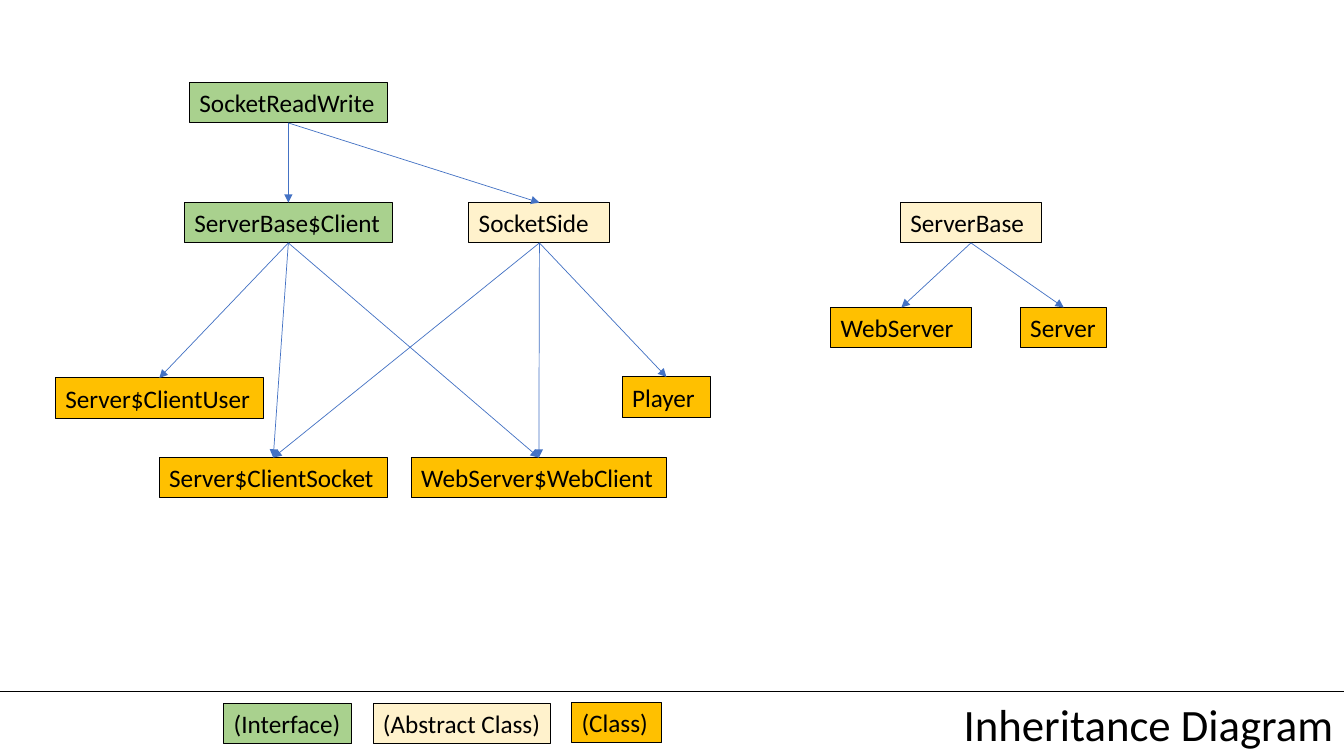
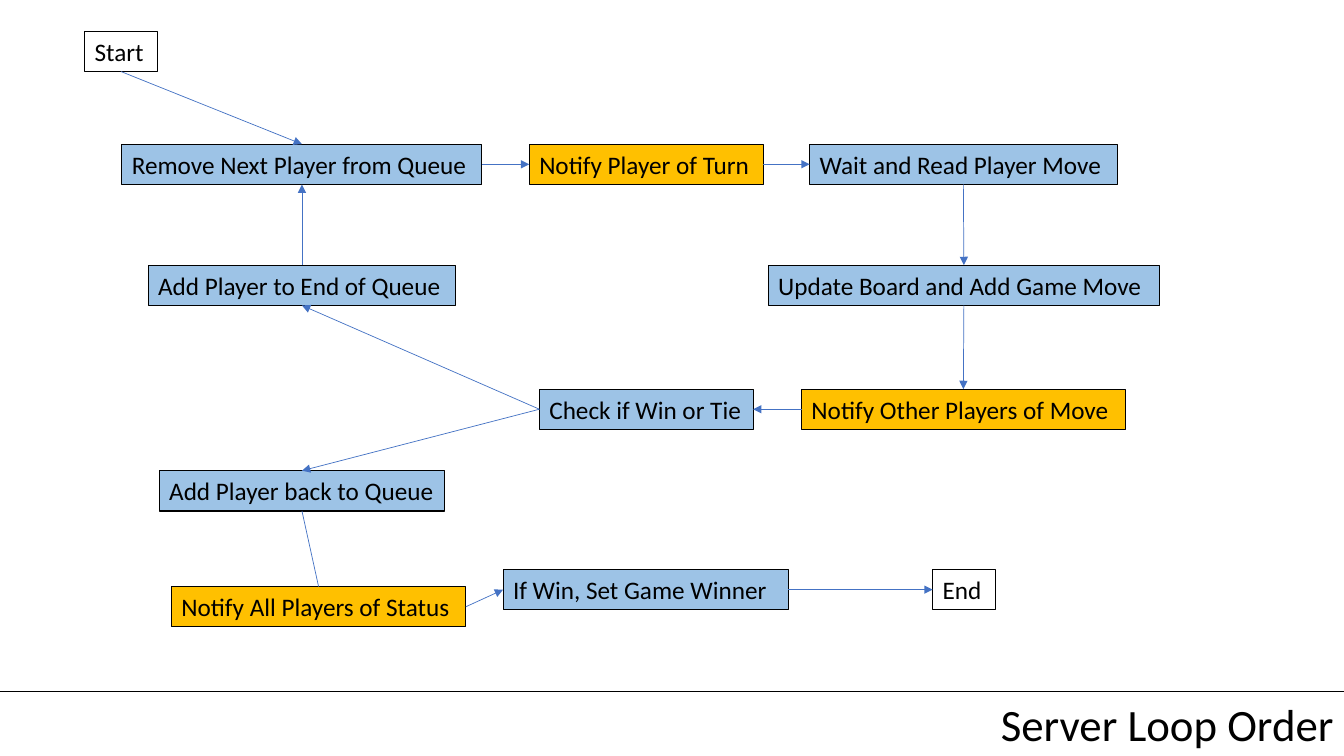
from dataclasses import dataclass

import lxml.etree
import pptx
import pptx.util
import pptx.dml.color
import pptx.enum.shapes
import pptx.enum.text
import pptx.oxml.ns
from pptx.util import Inches


@dataclass(frozen=True)
class Theme:
    """Colours, type sizes and measures shared by the slides."""
    font: str = "Calibri"
    ink: str = "000000"
    arrow: str = "4472C4"
    green: str = "A9D18E"
    cream: str = "FFF2CC"
    amber: str = "FFC000"
    blue: str = "9DC3E6"
    title_size: int = 32
    box_size: int = 18
    border: float = 0.75
    stroke: float = 0.5
    width: float = 13.33
    height: float = 7.5
    footer_top: float = 6.86
    box_height: float = 0.4


THEME = Theme()
TOP, LEFT, BOTTOM, RIGHT = range(4)

# Each box: text, left, top, width, fill
CLASSES = [
    ("Player", 6.17, 3.74, 0.88, THEME.amber),
    ("ServerBase", 8.93, 2.01, 1.4, THEME.cream),
    ("SocketSide", 4.65, 2.01, 1.4, THEME.cream),
    ("ServerBase$Client", 1.83, 2.01, 2.06, THEME.green),
    ("SocketReadWrite", 1.88, 0.82, 1.96, THEME.green),
    ("Server$ClientSocket", 1.58, 4.54, 2.26, THEME.amber),
    ("Server$ClientUser", 0.55, 3.75, 2.06, THEME.amber),
    ("WebServer$WebClient", 4.08, 4.54, 2.53, THEME.amber),
    ("WebServer", 8.24, 3.05, 1.4, THEME.amber),
    ("Server", 10.12, 3.05, 0.86, THEME.amber),
]
CHILDREN = {
    "ServerBase": ["WebServer", "Server"],
    "SocketReadWrite": ["SocketSide", "ServerBase$Client"],
    "SocketSide": ["Server$ClientSocket", "Player", "WebServer$WebClient"],
    "ServerBase$Client": ["Server$ClientUser", "WebServer$WebClient",
                          "Server$ClientSocket"],
}
LEGEND = [
    ("(Interface)", 2.22, 6.98, 1.27, THEME.green),
    ("(Class)", 5.67, 6.97, 0.89, THEME.amber),
    ("(Abstract Class)", 3.7, 6.98, 1.76, THEME.cream),
]
STEPS = [
    ("Start", 0.84, 0.31, 0.72, None),
    ("Remove Next Player from Queue", 1.21, 1.43, 3.57, THEME.blue),
    ("Notify Player of Turn", 5.25, 1.43, 2.32, THEME.amber),
    ("Wait and Read Player Move", 8.03, 1.43, 3.05, THEME.blue),
    ("Update Board and Add Game Move", 7.62, 2.63, 3.88, THEME.blue),
    ("Notify Other Players of Move", 7.95, 3.86, 3.21, THEME.amber),
    ("Check if Win or Tie", 5.35, 3.86, 2.12, THEME.blue),
    ("Add Player to End of Queue", 1.47, 2.63, 3.05, THEME.blue),
    ("Add Player back to Queue", 1.58, 4.67, 2.83, THEME.blue),
    ("Notify All Players of Status", 1.7, 5.82, 2.92, THEME.amber),
    ("If Win, Set Game Winner", 4.99, 5.65, 2.83, THEME.blue),
    ("End", 9.25, 5.65, 0.62, None),
]
# Each flow: source, its side, target, its side, arrowhead
FLOWS = [
    ("Start", BOTTOM, "Remove Next Player from Queue", TOP, True),
    ("Remove Next Player from Queue", RIGHT, "Notify Player of Turn", LEFT, True),
    ("Notify Player of Turn", RIGHT, "Wait and Read Player Move", LEFT, True),
    ("Wait and Read Player Move", BOTTOM, "Update Board and Add Game Move", TOP, True),
    ("Update Board and Add Game Move", BOTTOM, "Notify Other Players of Move", TOP, True),
    ("Notify Other Players of Move", LEFT, "Check if Win or Tie", RIGHT, True),
    ("Check if Win or Tie", LEFT, "Add Player to End of Queue", BOTTOM, True),
    ("Add Player to End of Queue", TOP, "Remove Next Player from Queue", BOTTOM, True),
    ("Check if Win or Tie", LEFT, "Add Player back to Queue", TOP, True),
    ("Add Player back to Queue", BOTTOM, "Notify All Players of Status", TOP, False),
    ("Notify All Players of Status", RIGHT, "If Win, Set Game Winner", LEFT, True),
    ("If Win, Set Game Winner", RIGHT, "End", LEFT, True),
]


def rgb(code):
    """Turn a hex code into a colour."""
    return pptx.dml.color.RGBColor.from_string(code)


def write(shape, text, size, align, wrap=True):
    """Fill a shape with one styled paragraph, growing to fit."""
    frame = shape.text_frame
    frame.text = text
    frame.word_wrap = wrap
    frame.auto_size = pptx.enum.text.MSO_AUTO_SIZE.SHAPE_TO_FIT_TEXT
    frame.vertical_anchor = pptx.enum.text.MSO_ANCHOR.TOP
    para = frame.paragraphs[0]
    para.alignment = align
    para.font.name = THEME.font
    para.font.size = pptx.util.Pt(size)
    para.font.color.rgb = rgb(THEME.ink)


def add_line(page, start, end, color):
    """Draw a thin straight line between two points in inches."""
    line = page.shapes.add_connector(
        pptx.enum.shapes.MSO_CONNECTOR.STRAIGHT,
        *(Inches(value) for value in (*start, *end)))
    line.line.color.rgb = rgb(color)
    line.line.width = pptx.util.Pt(THEME.stroke)
    lxml.etree.SubElement(line._element.spPr, pptx.oxml.ns.qn("a:effectLst"))
    return line


def add_page(deck, title):
    """Add a slide with the bottom title and the rule above it."""
    page = deck.slides.add_slide(deck.slide_layouts.get_by_name("Title Only"))
    heading = page.shapes.title
    heading.left, heading.top = Inches(9.45), Inches(THEME.footer_top)
    heading.width, heading.height = Inches(3.88), Inches(0.64)
    write(heading, title, THEME.title_size, pptx.enum.text.PP_ALIGN.RIGHT)
    add_line(page, (0, THEME.footer_top), (THEME.width, THEME.footer_top), THEME.ink)
    return page


def add_box(page, text, left, top, width, fill):
    """Add a bordered label; interface labels do not wrap."""
    box = page.shapes.add_shape(
        pptx.enum.shapes.MSO_SHAPE.RECTANGLE, Inches(left), Inches(top),
        Inches(width), Inches(THEME.box_height))
    box.shadow.inherit = False
    if fill:
        box.fill.solid()
        box.fill.fore_color.rgb = rgb(fill)
    else:
        box.fill.background()
    box.line.color.rgb = rgb(THEME.ink)
    box.line.width = pptx.util.Pt(THEME.border)
    write(box, text, THEME.box_size, pptx.enum.text.PP_ALIGN.LEFT,
          wrap=fill != THEME.green)
    return box


def add_boxes(page, rows):
    """Add a set of labels and return them by their text."""
    return {row[0]: add_box(page, *row) for row in rows}


def link(page, source, source_side, target, target_side, arrowhead=True):
    """Connect two boxes, with an arrowhead at the target if wanted."""
    line = add_line(page, (0, 0), (1, 1), THEME.arrow)
    line.begin_connect(source, source_side)
    line.end_connect(target, target_side)
    if arrowhead:
        outline = line._element.spPr.find(pptx.oxml.ns.qn("a:ln"))
        lxml.etree.SubElement(outline, pptx.oxml.ns.qn("a:tailEnd"), type="triangle")


def build_inheritance(deck):
    """Build the class tree with its legend."""
    page = add_page(deck, "Inheritance Diagram")
    boxes = add_boxes(page, CLASSES)
    for parent, children in CHILDREN.items():
        for child in children:
            link(page, boxes[parent], BOTTOM, boxes[child], TOP)
    add_boxes(page, LEGEND)


def build_server_loop(deck):
    """Build the flow of one game loop."""
    page = add_page(deck, "Server Loop Order")
    boxes = add_boxes(page, STEPS)
    for source, source_side, target, target_side, arrowhead in FLOWS:
        link(page, boxes[source], source_side, boxes[target], target_side, arrowhead)


def main():
    """Build and save the deck."""
    deck = pptx.Presentation()
    deck.slide_width = Inches(THEME.width)
    deck.slide_height = Inches(THEME.height)
    build_inheritance(deck)
    build_server_loop(deck)
    deck.save("out.pptx")


main()
